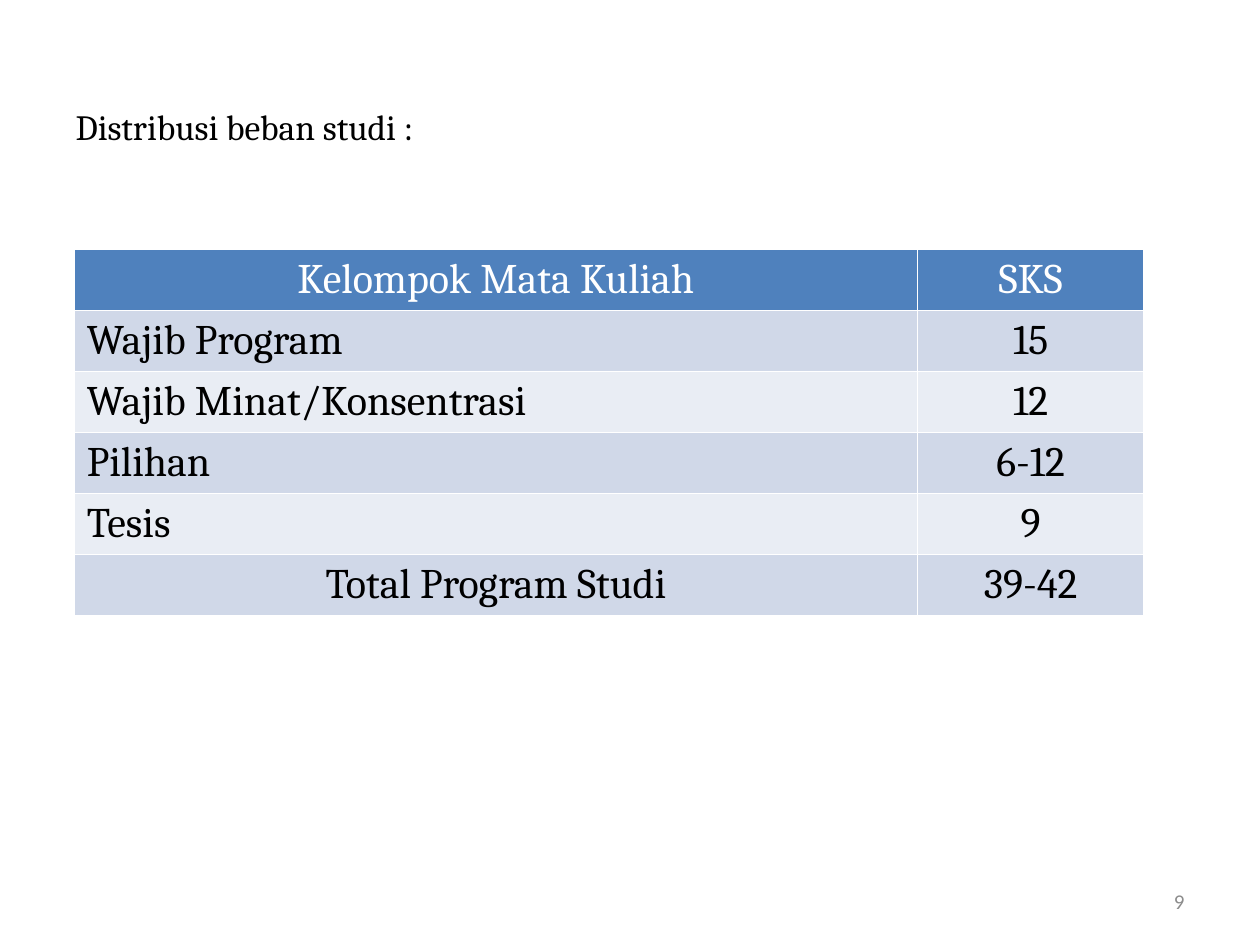
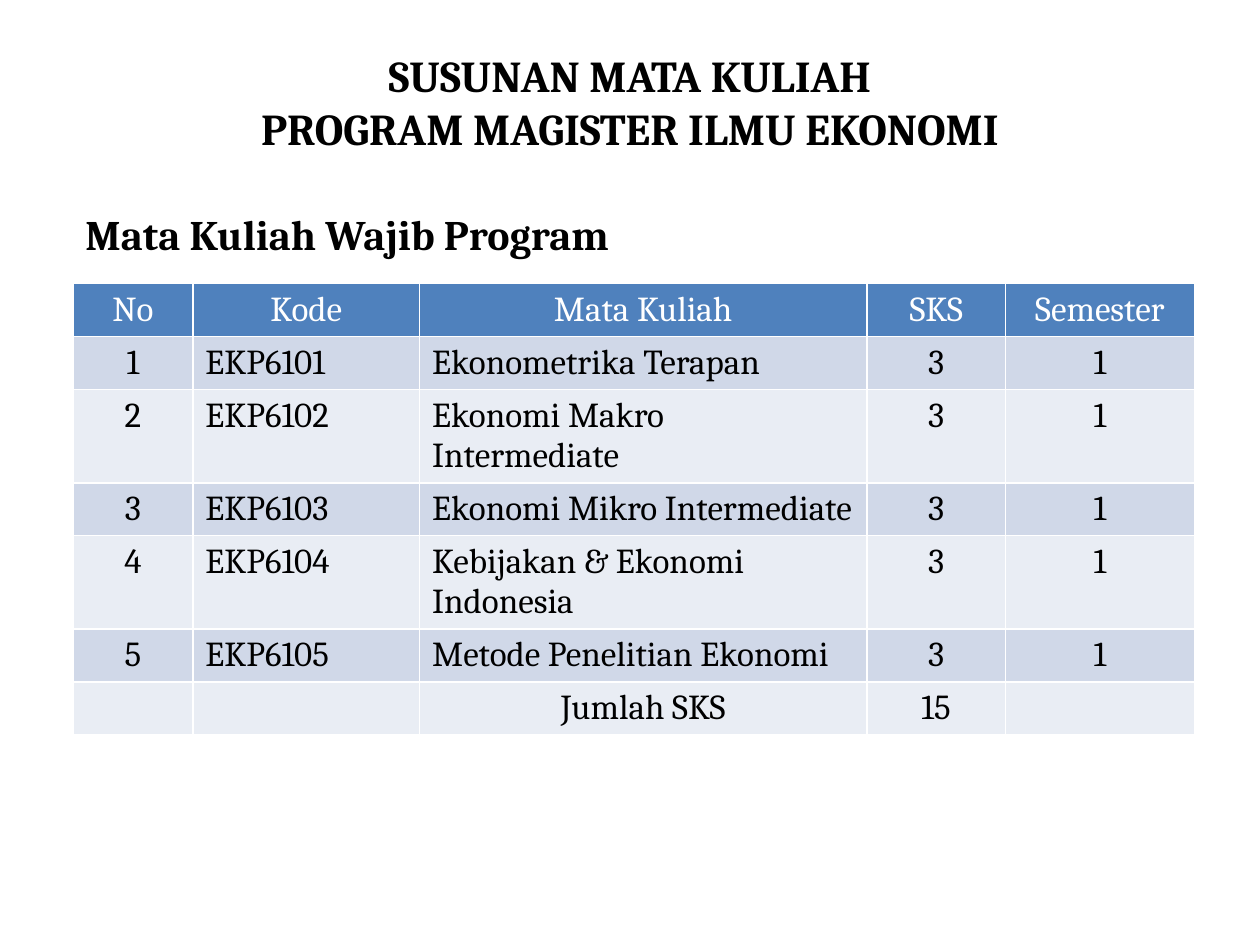
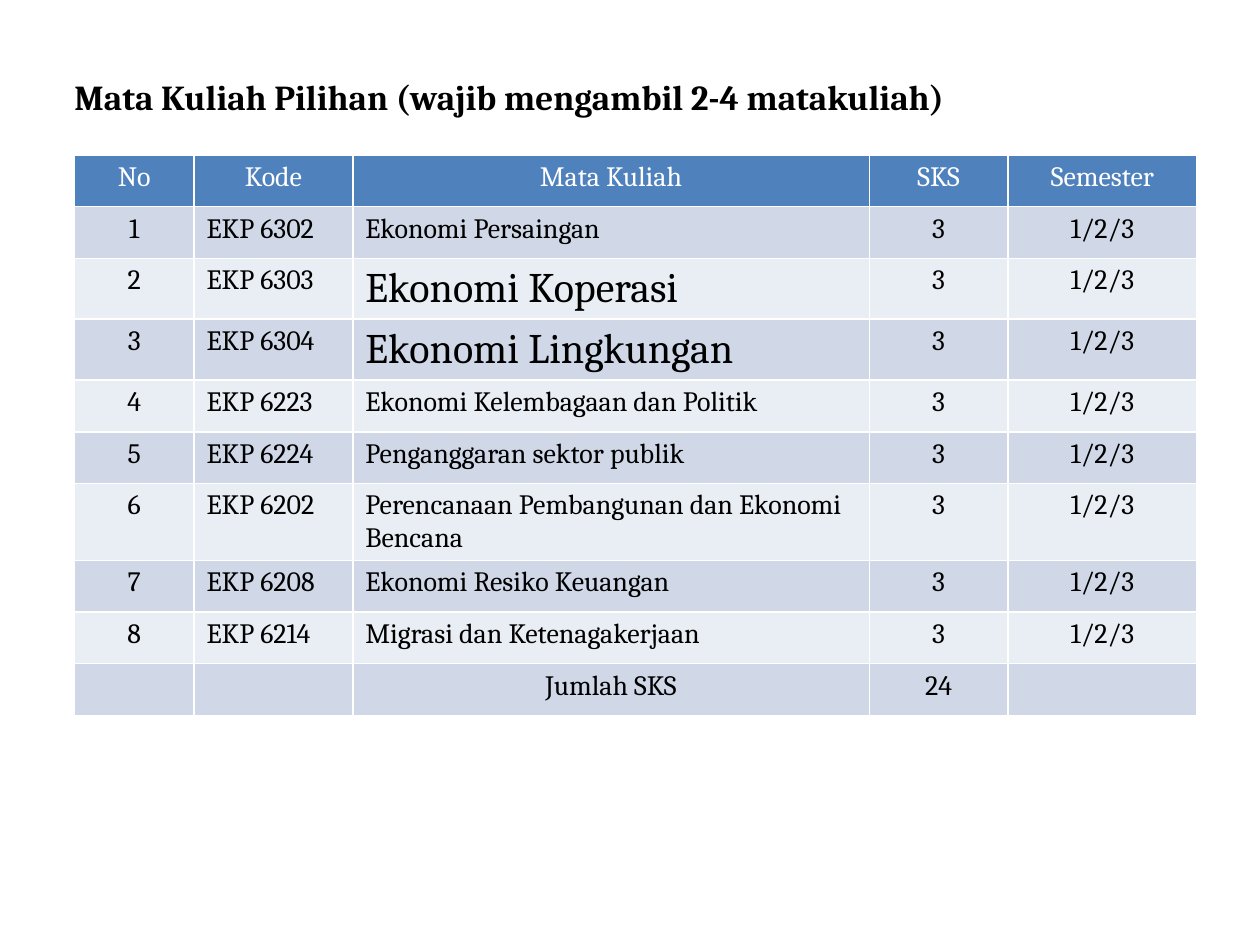
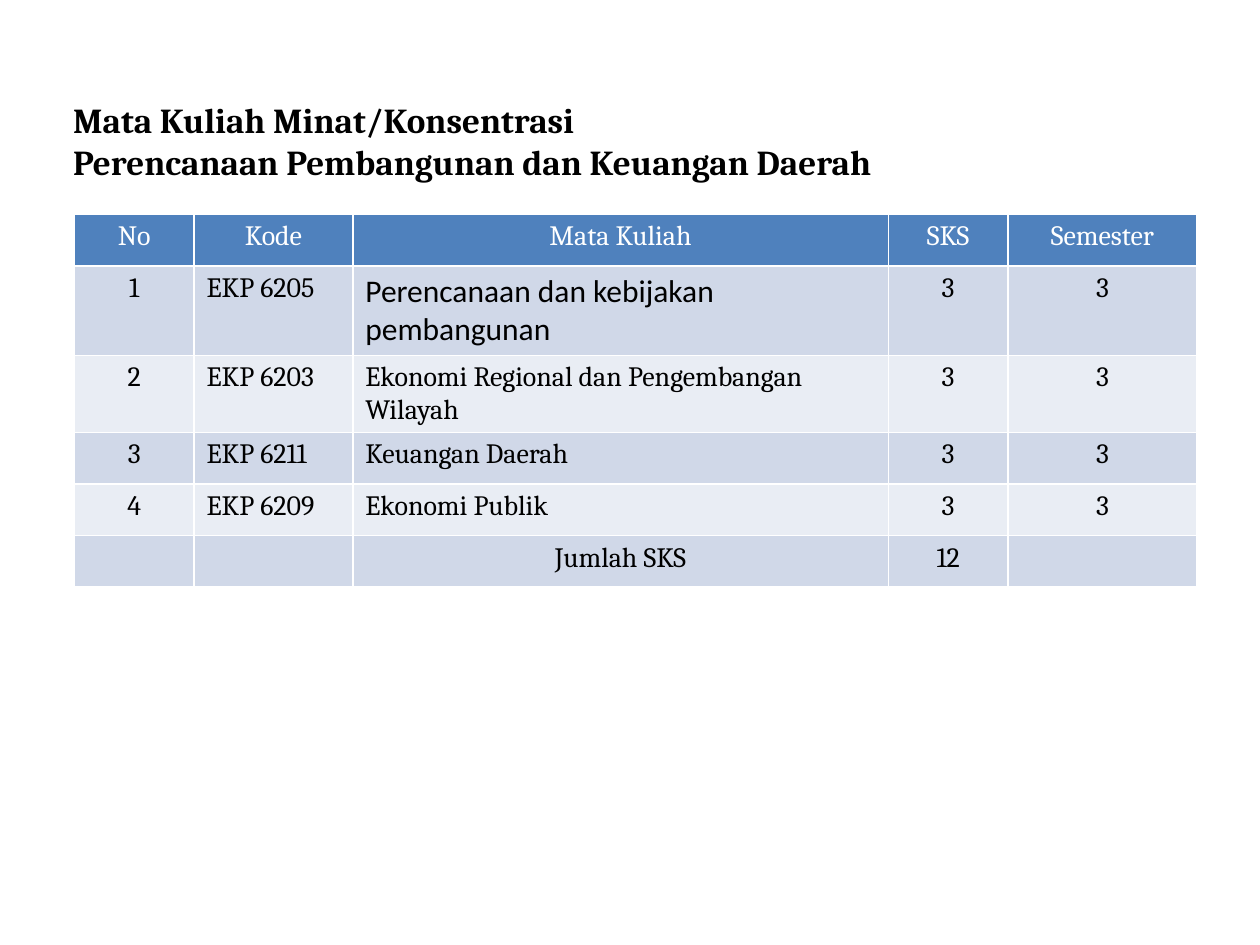
from pptx import Presentation
from pptx.dml.color import RGBColor
from pptx.enum.text import MSO_ANCHOR, MSO_AUTO_SIZE, PP_ALIGN
from pptx.util import Inches, Pt

BLACK, WHITE, GREY = "000000", "FFFFFF", "8C8C8C"
HEADER_FILL = "4F81BD"
BAND_FILLS = ("D0D8E8", "E9EDF4")
ROW_HEIGHT = 0.41
CREDITS_PER_COURSE = 3
COURSE_HEADINGS = ("No", "Kode", "Mata Kuliah", "SKS", "Semester")


def color(hex_code):
    """Turn a hex string into a colour."""
    return RGBColor.from_string(hex_code)


def write(frame, text, size, font="Cambria", fill=BLACK, bold=False,
          align=PP_ALIGN.LEFT, baseline=None):
    """Write text into a frame, one paragraph per line, in one format."""
    frame.text = text
    for paragraph in frame.paragraphs:
        paragraph.alignment = align
        for run in paragraph.runs:
            run.font.name = font
            run.font.size = Pt(size)
            run.font.bold = bold
            run.font.color.rgb = color(fill)
            if baseline:
                run._r.get_or_add_rPr().set("baseline", str(baseline * 1000))


def place(holder, box, text, size, **style):
    """Move a text holder to its box and fill it, centred vertically."""
    holder.left, holder.top, holder.width, holder.height = map(Inches, box)
    frame = holder.text_frame
    frame.word_wrap = True
    frame.auto_size = MSO_AUTO_SIZE.NONE
    frame.vertical_anchor = MSO_ANCHOR.MIDDLE
    write(frame, text, size, **style)


def add_titled_slide(deck, box, title, size, **style):
    """Add a slide with a placed title."""
    slide = deck.slides.add_slide(deck.slide_layouts[5])
    place(slide.shapes.title, box, title, size, **style)
    return slide


def add_label(slide, box, text, size, **style):
    """Add a free label to a slide."""
    label = slide.shapes.add_textbox(*map(Inches, box))
    place(label, box, text, size, **style)


def add_credit_table(slide, origin, widths, rows, size, left_columns, special=None):
    """Add a banded table with a header first and a centred total last."""
    left, top = origin
    grid = slide.shapes.add_table(
        len(rows), len(widths), Inches(left), Inches(top),
        Inches(sum(widths)), Inches(ROW_HEIGHT * len(rows))).table
    for column, width in zip(grid.columns, widths):
        column.width = Inches(width)
    for r, row in enumerate(rows):
        grid.rows[r].height = Inches(ROW_HEIGHT)
        is_header, is_total = r == 0, r == len(rows) - 1
        for c, text in enumerate(row):
            cell = grid.cell(r, c)
            cell.fill.solid()
            cell.fill.fore_color.rgb = color(
                HEADER_FILL if is_header else BAND_FILLS[(r - 1) % 2])
            at_left = c in left_columns and not (is_header or is_total)
            style = {"size": size, "fill": WHITE if is_header else BLACK,
                     "align": PP_ALIGN.LEFT if at_left else PP_ALIGN.CENTER}
            style.update((special or {}).get(text, {}))
            write(cell.text_frame, text, **style)


def add_course_table(slide, origin, widths, courses, semester, size, special=None):
    """Add a numbered course list with its credit total."""
    numbered = [(str(number), code, name, str(CREDITS_PER_COURSE), semester)
                for number, (code, name) in enumerate(courses, 1)]
    total = ("", "", "Jumlah SKS", str(CREDITS_PER_COURSE * len(courses)), "")
    add_credit_table(slide, origin, widths, [COURSE_HEADINGS, *numbered, total],
                     size, (1, 2), special)


def add_load_slide(deck):
    """Build the slide on the distribution of the study load."""
    slide = add_titled_slide(deck, (0.5, 0.58, 9, 0.97),
                             "Distribusi beban studi :", 35, baseline=30)
    add_label(slide, (7.17, 6.95, 2.33, 0.4), "9", 12, font="Calibri",
              fill=GREY, align=PP_ALIGN.RIGHT)
    groups = [
        ("Kelompok Mata Kuliah", "SKS"),
        ("Wajib Program", "15"),
        ("Wajib Minat/Konsentrasi", "12"),
        ("Pilihan", "6-12"),
        ("Tesis", "9"),
        ("Total Program Studi", "39-42"),
    ]
    add_credit_table(slide, (0.59, 1.98), (6.69, 1.8), groups, 24, (0,))


def add_compulsory_slide(deck):
    """Build the slide on the compulsory courses of the programme."""
    slide = add_titled_slide(
        deck, (0.5, 0.3, 9, 1.01),
        "SUSUNAN MATA KULIAH\nPROGRAM MAGISTER ILMU EKONOMI",
        25.2, bold=True, align=PP_ALIGN.CENTER)
    courses = [
        ("EKP6101", "Ekonometrika Terapan"),
        ("EKP6102", "Ekonomi Makro Intermediate"),
        ("EKP6103", "Ekonomi Mikro Intermediate"),
        ("EKP6104", "Kebijakan & Ekonomi Indonesia"),
        ("EKP6105", "Metode Penelitian Ekonomi"),
    ]
    add_course_table(slide, (0.58, 2.25), (0.95, 1.8, 3.55, 1.1, 1.5),
                     courses, "1", 20)
    add_label(slide, (0.58, 1.58, 5.98, 0.55), "Mata Kuliah Wajib Program",
              24, bold=True)


def add_elective_slide(deck):
    """Build the slide on the elective courses."""
    slide = add_titled_slide(
        deck, (0.49, 0.49, 7.84, 0.55),
        "Mata Kuliah Pilihan (wajib mengambil 2-4 matakuliah)",
        20, bold=True, align=PP_ALIGN.JUSTIFY)
    courses = [
        ("EKP 6302", "Ekonomi Persaingan"),
        ("EKP 6303", "Ekonomi Koperasi"),
        ("EKP 6304", "Ekonomi Lingkungan"),
        ("EKP 6223", "Ekonomi Kelembagaan dan Politik"),
        ("EKP 6224", "Penganggaran sektor publik"),
        ("EKP 6202", "Perencanaan Pembangunan dan Ekonomi Bencana"),
        ("EKP 6208", "Ekonomi Resiko Keuangan"),
        ("EKP 6214", "Migrasi dan Ketenagakerjaan"),
    ]
    large = {"size": 24}
    add_course_table(slide, (0.59, 1.23), (0.95, 1.26, 4.1, 1.1, 1.5),
                     courses, "1/2/3", 16,
                     {"Ekonomi Koperasi": large, "Ekonomi Lingkungan": large})


def add_concentration_slide(deck):
    """Build the slide on the courses of the concentration."""
    slide = add_titled_slide(
        deck, (0.48, 0.84, 8.27, 0.55),
        "Mata Kuliah Minat/Konsentrasi\n"
        "Perencanaan Pembangunan dan Keuangan Daerah",
        20, bold=True, align=PP_ALIGN.JUSTIFY)
    planning = "Perencanaan dan kebijakan pembangunan"
    courses = [
        ("EKP 6205", planning),
        ("EKP 6203", "Ekonomi Regional dan Pengembangan Wilayah"),
        ("EKP 6211", "Keuangan Daerah"),
        ("EKP 6209", "Ekonomi Publik"),
    ]
    add_course_table(slide, (0.59, 1.7), (0.95, 1.26, 4.25, 0.95, 1.5),
                     courses, "3", 16,
                     {planning: {"size": 18, "font": "Calibri"}})


def main():
    """Build and save the deck."""
    deck = Presentation()
    deck.slide_width, deck.slide_height = Inches(10), Inches(7.5)
    add_load_slide(deck)
    add_compulsory_slide(deck)
    add_elective_slide(deck)
    add_concentration_slide(deck)
    deck.save("out.pptx")


if __name__ == "__main__":
    main()
